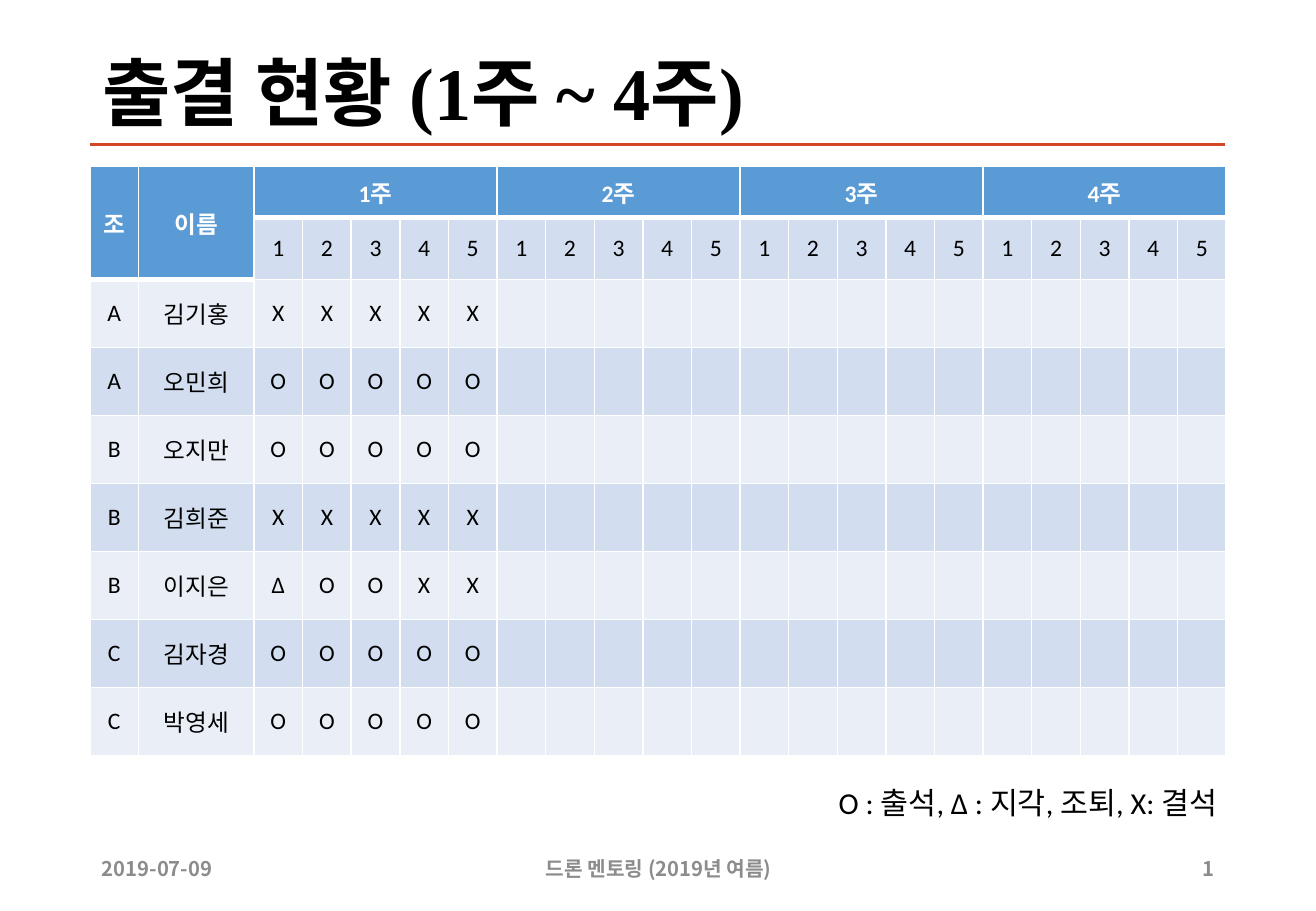
from dataclasses import dataclass

from lxml.etree import SubElement
from pptx import Presentation
from pptx.dml.color import RGBColor
from pptx.enum.shapes import MSO_CONNECTOR
from pptx.enum.text import MSO_ANCHOR, MSO_AUTO_SIZE, PP_ALIGN
from pptx.oxml.ns import qn
from pptx.util import Inches, Pt


@dataclass(frozen=True)
class Theme:
    ink: str = "000000"
    white: str = "FFFFFF"
    rule: str = "D24726"
    header: str = "5B9BD5"
    band_dark: str = "D2DEEF"
    band_light: str = "EAEFF7"
    muted: str = "8C8C8C"
    title_font: str = "Times New Roman"
    body_font: str = "Calibri"
    footer_font: str = "Noto Sans CJK KR"
    title_size: int = 44
    table_size: int = 14
    legend_size: int = 18
    footer_size: int = 12
    rule_width: int = 2
    grid_width: int = 1
    header_edge: int = 3


THEME = Theme()
LEFT, WIDTH = 0.74, 9.34
WEEKS, DAYS = 4, 5
LABELS = ["조", "이름"]
ATTENDANCE = [
    ("A", "김기홍", "XXXXX"),
    ("A", "오민희", "OOOOO"),
    ("B", "오지만", "OOOOO"),
    ("B", "김희준", "XXXXX"),
    ("B", "이지은", "ΔOOXX"),
    ("C", "김자경", "OOOOO"),
    ("C", "박영세", "OOOOO"),
]
COLUMN_WIDTHS = [0.4, 0.95] + [0.4] * (WEEKS * DAYS)
ROW_HEIGHTS = [0.42, 0.51] + [0.56] * len(ATTENDANCE)


def write(frame, text, font, size, color, bold=False, align=PP_ALIGN.LEFT):
    paragraph = frame.paragraphs[0]
    paragraph.alignment = align
    run = paragraph.add_run()
    run.text = text
    run.font.name = font
    run.font.size = Pt(size)
    run.font.bold = bold
    run.font.color.rgb = RGBColor.from_string(color)
    return paragraph


def add_title(slide, text):
    title = slide.shapes.title
    title.left, title.top = Inches(LEFT), Inches(0.4)
    title.width, title.height = Inches(WIDTH), Inches(0.79)
    frame = title.text_frame
    frame.word_wrap = True
    frame.auto_size = MSO_AUTO_SIZE.NONE
    frame.vertical_anchor = MSO_ANCHOR.MIDDLE
    heading = write(frame, text, THEME.title_font, THEME.title_size, THEME.ink, bold=True)
    heading.line_spacing = 0.9


def add_rule(slide, top):
    rule = slide.shapes.add_connector(
        MSO_CONNECTOR.STRAIGHT, Inches(LEFT), Inches(top), Inches(LEFT + WIDTH), Inches(top))
    rule.line.color.rgb = RGBColor.from_string(THEME.rule)
    rule.line.width = Pt(THEME.rule_width)
    SubElement(rule.element.spPr, qn("a:effectLst"))


def add_text(slide, left, top, width, text, font, size, color, align, bold=False):
    box = slide.shapes.add_textbox(Inches(left), Inches(top), Inches(width), Inches(0.4))
    box.text_frame.word_wrap = True
    write(box.text_frame, text, font, size, color, bold, align)
    return box.text_frame


def add_footer(slide, left, width, text, align):
    frame = add_text(slide, left, 6.95, width, text, THEME.footer_font,
                     THEME.footer_size, THEME.muted, align, bold=True)
    frame.vertical_anchor = MSO_ANCHOR.MIDDLE


def is_header(row, column):
    return row == 0 or (row == 1 and column < len(LABELS))


def cell_fill(row, column):
    if is_header(row, column):
        return THEME.header
    return THEME.band_dark if row % 2 else THEME.band_light


def edge_width(row, column):
    return THEME.header_edge if row >= 0 and is_header(row, column) else THEME.grid_width


def add_borders(cell, widths):
    properties = cell._tc.get_or_add_tcPr()
    for position, (side, width) in enumerate(widths.items()):
        border = properties.makeelement(qn(f"a:{side}"), {"w": str(Pt(width))})
        fill = SubElement(border, qn("a:solidFill"))
        SubElement(fill, qn("a:srgbClr"), val=THEME.white)
        properties.insert(position, border)


def format_cell(cell, row, column):
    cell.margin_left = cell.margin_right = cell.margin_top = cell.margin_bottom = 0
    cell.vertical_anchor = MSO_ANCHOR.MIDDLE
    cell.fill.solid()
    cell.fill.fore_color.rgb = RGBColor.from_string(cell_fill(row, column))
    add_borders(cell, {
        "lnL": THEME.grid_width,
        "lnR": THEME.grid_width,
        "lnT": edge_width(row - 1, column),
        "lnB": edge_width(row, column),
    })


def write_cell(table, row, column, text):
    header = is_header(row, column)
    write(table.cell(row, column).text_frame, text, THEME.body_font, THEME.table_size,
          THEME.white if header else THEME.ink, header, PP_ALIGN.CENTER)


def add_attendance(slide):
    table = slide.shapes.add_table(
        len(ROW_HEIGHTS), len(COLUMN_WIDTHS), Inches(LEFT), Inches(1.37),
        Inches(WIDTH), Inches(sum(ROW_HEIGHTS))).table
    table.first_row = table.horz_banding = False
    for column, width in zip(table.columns, COLUMN_WIDTHS):
        column.width = Inches(width)
    for row, height in enumerate(ROW_HEIGHTS):
        table.rows[row].height = Inches(height)
        for column in range(len(COLUMN_WIDTHS)):
            format_cell(table.cell(row, column), row, column)

    for column, label in enumerate(LABELS):
        table.cell(0, column).merge(table.cell(1, column))
        write_cell(table, 0, column, label)
    for week in range(WEEKS):
        first = len(LABELS) + week * DAYS
        table.cell(0, first).merge(table.cell(0, first + DAYS - 1))
        write_cell(table, 0, first, f"{week + 1}주")
        for day in range(DAYS):
            write_cell(table, 1, first + day, str(day + 1))
    for row, (team, name, marks) in enumerate(ATTENDANCE, start=2):
        for column, text in enumerate([team, name, *marks]):
            write_cell(table, row, column, text)


def main():
    deck = Presentation()
    deck.slide_width, deck.slide_height = Inches(10.83), Inches(7.5)
    slide = deck.slides.add_slide(deck.slide_layouts.get_by_name("Title Only"))
    add_rule(slide, 1.19)
    add_title(slide, "출결 현황 (1주 ~ 4주)")
    add_attendance(slide)
    add_footer(slide, LEFT, 1.27, "2019-07-09", PP_ALIGN.LEFT)
    add_footer(slide, 3.59, 3.66, "드론 멘토링 (2019년 여름)", PP_ALIGN.CENTER)
    add_footer(slide, 9.56, 0.53, "1", PP_ALIGN.RIGHT)
    add_text(slide, 6.7, 6.41, 3.52, "O : 출석, Δ : 지각, 조퇴, X: 결석", THEME.body_font,
             THEME.legend_size, THEME.ink, PP_ALIGN.CENTER)
    deck.save("out.pptx")


if __name__ == "__main__":
    main()
